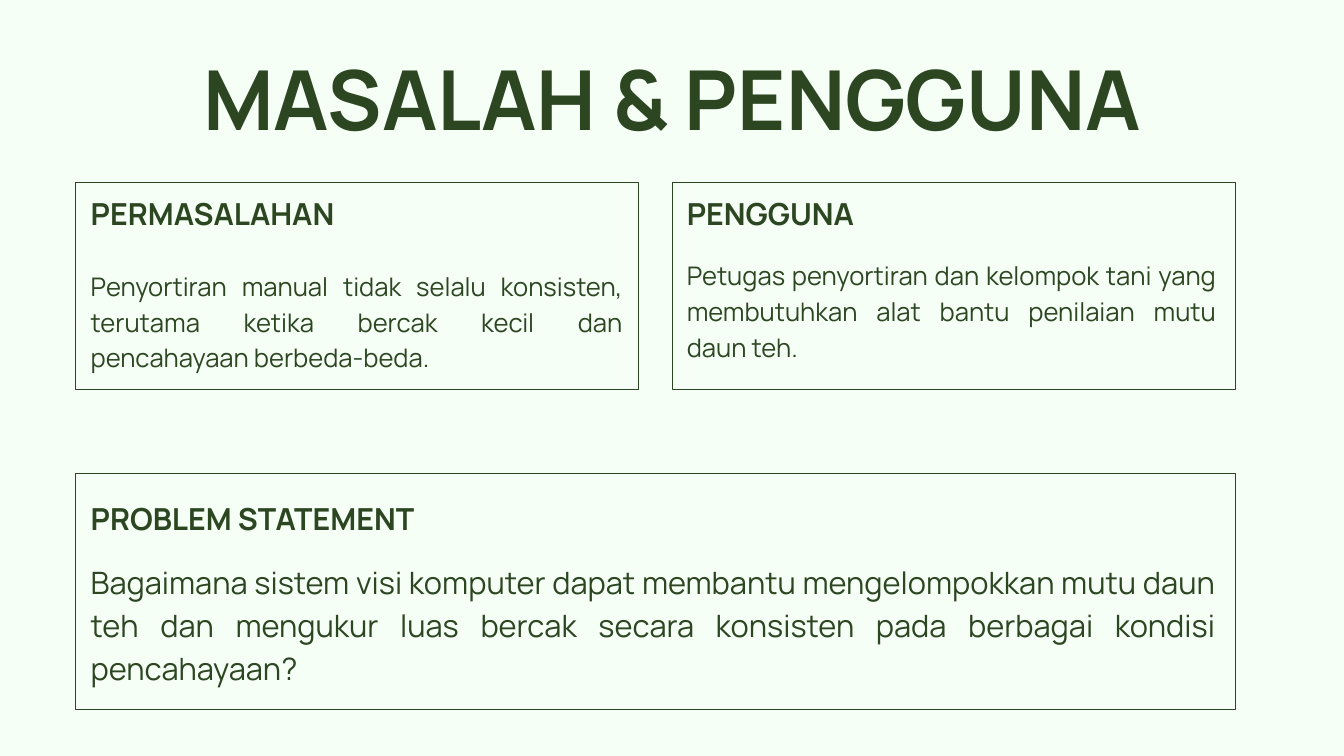
from dataclasses import dataclass

from pptx import Presentation
from pptx.dml.color import RGBColor
from pptx.enum.shapes import MSO_SHAPE
from pptx.enum.text import MSO_ANCHOR, MSO_AUTO_SIZE, PP_ALIGN
from pptx.util import Emu, Pt

RECTANGLE = MSO_SHAPE.RECTANGLE
TOP = MSO_ANCHOR.TOP
NO_AUTOFIT = MSO_AUTO_SIZE.NONE
LEFT, CENTER, JUSTIFY = PP_ALIGN.LEFT, PP_ALIGN.CENTER, PP_ALIGN.JUSTIFY

EMU_PER_PX = 9144  # 100 px to the inch
TITLE_ONLY = 5


@dataclass(frozen=True)
class TextStyle:
    size: float
    spacing: float
    alignment: PP_ALIGN
    bold: bool = False


@dataclass(frozen=True)
class Theme:
    background: RGBColor = RGBColor(0xF6, 0xFF, 0xF6)
    ink: RGBColor = RGBColor(0x2C, 0x46, 0x22)
    font: str = "Manrope"
    line_width: float = 0.75
    title: TextStyle = TextStyle(88.6, 83.3, CENTER, True)
    heading: TextStyle = TextStyle(32.5, 30.5, LEFT, True)
    body: TextStyle = TextStyle(27.4, 38.4, JUSTIFY)
    statement: TextStyle = TextStyle(33, 46.2, JUSTIFY)


def px(*lengths):
    return [Emu(length * EMU_PER_PX) for length in lengths]


class SlideBuilder:
    def __init__(self, presentation, theme):
        self.theme = theme
        self.slide = presentation.slides.add_slide(presentation.slide_layouts[TITLE_ONLY])
        fill = self.slide.background.fill
        fill.solid()
        fill.fore_color.rgb = theme.background

    def set_text(self, shape, text, style):
        frame = shape.text_frame
        frame_format = {
            "margin_left": 0, "margin_top": 0, "margin_right": 0, "margin_bottom": 0,
            "word_wrap": True, "auto_size": NO_AUTOFIT, "vertical_anchor": TOP,
        }
        for name, value in frame_format.items():
            setattr(frame, name, value)
        paragraph = frame.paragraphs[0]
        paragraph.alignment = style.alignment
        paragraph.line_spacing = Pt(style.spacing)
        run = paragraph.add_run()
        run.text = text
        font_format = {"name": self.theme.font, "size": Pt(style.size), "bold": style.bold}
        for name, value in font_format.items():
            setattr(run.font, name, value)
        run.font.color.rgb = self.theme.ink

    def title(self, text, *box):
        shape = self.slide.shapes.title
        shape.left, shape.top, shape.width, shape.height = px(*box)
        self.set_text(shape, text, self.theme.title)

    def text(self, text, style, *box):
        self.set_text(self.slide.shapes.add_textbox(*px(*box)), text, style)

    def frame(self, *box):
        shape = self.slide.shapes.add_shape(RECTANGLE, *px(*box))
        shape.shadow.inherit = False
        shape.fill.background()
        shape.line.color.rgb = self.theme.ink
        shape.line.width = Pt(self.theme.line_width)

    def card(self, box, text_left, text_width, heading, heading_top, body, body_top, body_height, style):
        """Draw an outlined box with a heading above a justified paragraph."""
        self.frame(*box)
        self.text(heading, self.theme.heading, text_left, heading_top, 593, 47)
        self.text(body, style, text_left, body_top, text_width, body_height)


def main():
    presentation = Presentation()
    presentation.slide_width, presentation.slide_height = px(2000, 1125)
    theme = Theme()
    builder = SlideBuilder(presentation, theme)

    builder.title("MASALAH & PENGGUNA", 191, 103, 1618, 132)
    builder.card(
        (112, 272, 838, 307), 135, 791,
        "PERMASALAHAN", 303,
        "Penyortiran manual tidak selalu konsisten, terutama ketika bercak kecil "
        "dan pencahayaan berbeda-beda.", 395, 161, theme.body)
    builder.card(
        (1000, 272, 838, 307), 1022, 787,
        "PENGGUNA", 303,
        "Petugas penyortiran dan kelompok tani yang membutuhkan alat bantu "
        "penilaian mutu daun teh.", 379, 161, theme.body)
    builder.card(
        (112, 705, 1726, 351), 135, 1674,
        "PROBLEM STATEMENT", 756,
        "Bagaimana sistem visi komputer dapat membantu mengelompokkan mutu daun "
        "teh dan mengukur luas bercak secara konsisten pada berbagai kondisi "
        "pencahayaan?", 830, 192, theme.statement)

    presentation.save("out.pptx")


if __name__ == "__main__":
    main()
